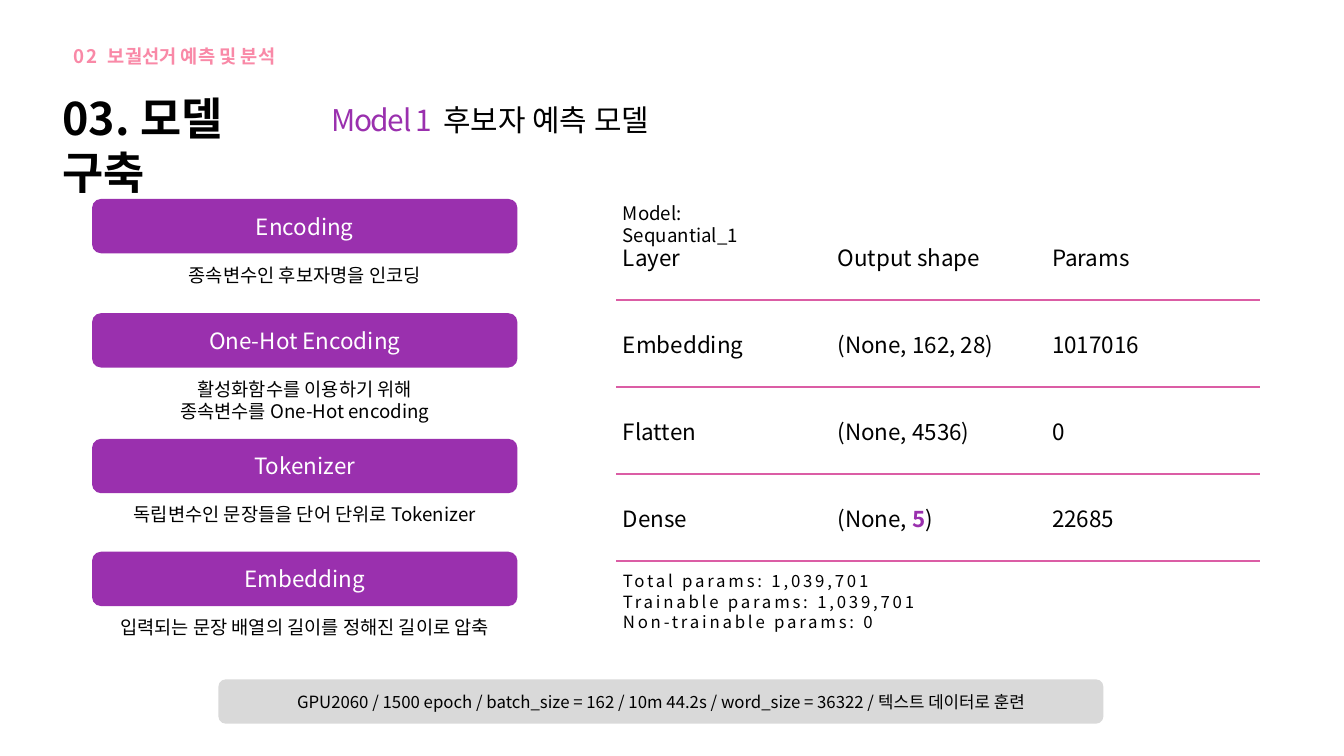
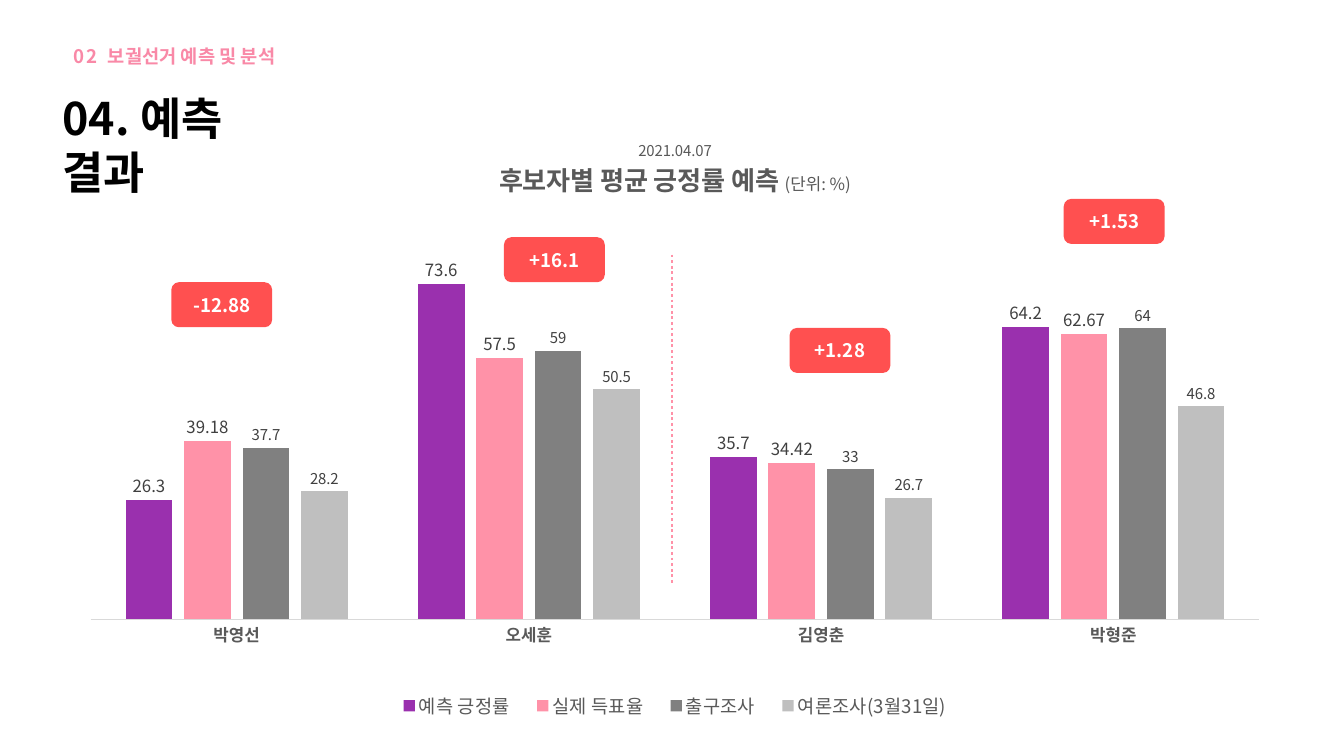
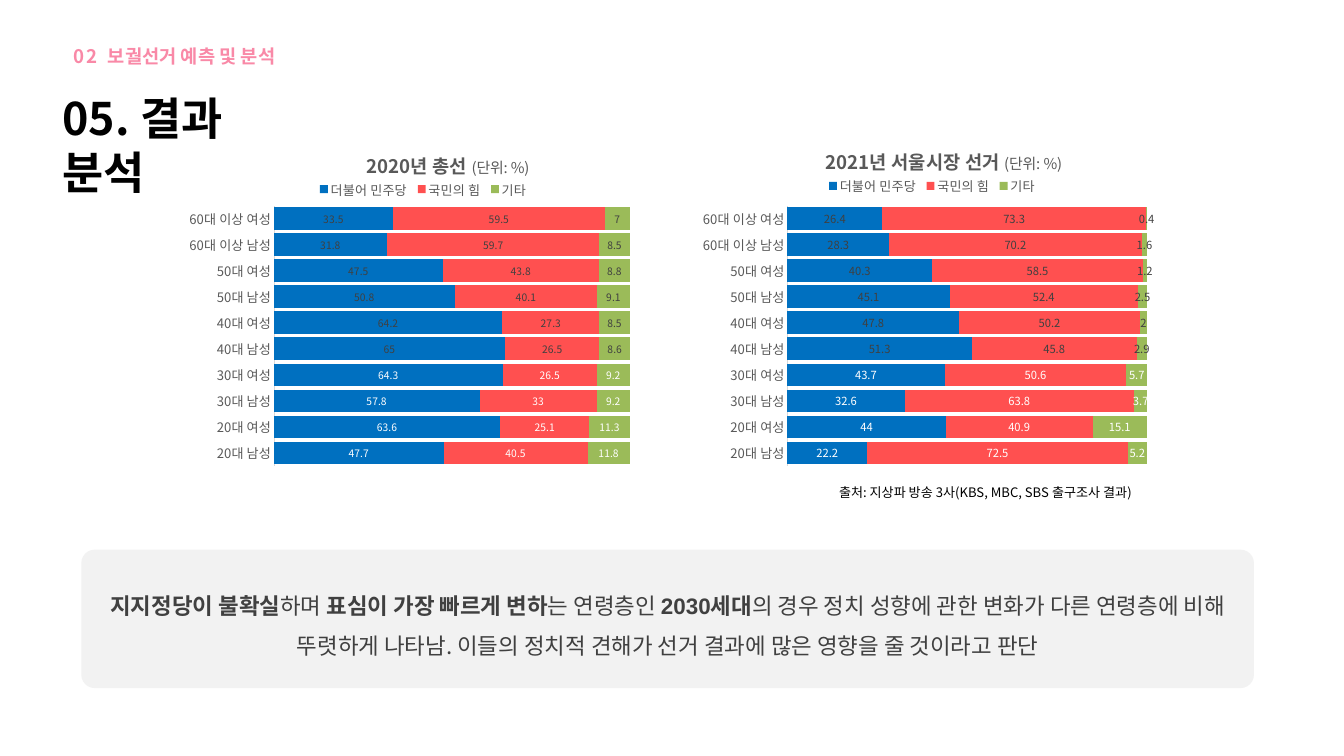
from lxml import etree
from pptx import Presentation
from pptx.chart.data import CategoryChartData
from pptx.dml.color import RGBColor
from pptx.enum.chart import XL_CHART_TYPE, XL_LABEL_POSITION, XL_LEGEND_POSITION, XL_TICK_MARK
from pptx.enum.dml import MSO_LINE
from pptx.enum.shapes import MSO_CONNECTOR, MSO_SHAPE
from pptx.enum.text import MSO_ANCHOR, MSO_AUTO_SIZE, PP_ALIGN
from pptx.oxml.ns import qn
from pptx.util import Inches, Pt

LEFT, CENTER, RIGHT, JUSTIFY = PP_ALIGN.LEFT, PP_ALIGN.CENTER, PP_ALIGN.RIGHT, PP_ALIGN.JUSTIFY
TOP, MIDDLE = MSO_ANCHOR.TOP, MSO_ANCHOR.MIDDLE
COLUMNS, STACKED_BARS = XL_CHART_TYPE.COLUMN_CLUSTERED, XL_CHART_TYPE.BAR_STACKED
OUTSIDE_END, LEGEND_TOP = XL_LABEL_POSITION.OUTSIDE_END, XL_LEGEND_POSITION.TOP
NO_TICKS, DOTTED = XL_TICK_MARK.NONE, MSO_LINE.ROUND_DOT
ROUNDED, STRAIGHT = MSO_SHAPE.ROUNDED_RECTANGLE, MSO_CONNECTOR.STRAIGHT

BLACK = RGBColor(0, 0, 0)
WHITE = RGBColor(255, 255, 255)
PURPLE = RGBColor(0x9A, 0x30, 0xAE)
HEADER_PINK = RGBColor(0xF9, 0x89, 0xA7)
PINK = RGBColor(0xFF, 0x92, 0xA8)
RULE_PINK = RGBColor(0xDB, 0x5D, 0xA5)
RED = RGBColor(0xFF, 0x50, 0x50)
BLUE = RGBColor(0, 0x70, 0xC0)
GREEN = RGBColor(0x9B, 0xBB, 0x59)
DARK_GRAY = RGBColor(0x40, 0x40, 0x40)
TEXT_GRAY = RGBColor(0x59, 0x59, 0x59)
GRAY = RGBColor(0x80, 0x80, 0x80)
SILVER = RGBColor(0xBF, 0xBF, 0xBF)
BAR_GRAY = RGBColor(0xD9, 0xD9, 0xD9)
PANEL_GRAY = RGBColor(0xF2, 0xF2, 0xF2)

FONT = "Noto Sans CJK KR"
NO_TABLE_STYLE = "{2D5ABB26-0587-4C30-8999-92F81FD0307C}"

STEPS = [
    (2.96, "Encoding", ["종속변수인 후보자명을 인코딩"]),
    (4.66, "One-Hot Encoding", ["활성화함수를 이용하기 위해", "종속변수를 One-Hot encoding"]),
    (6.53, "Tokenizer", ["독립변수인 문장들을 단어 단위로 Tokenizer"]),
    (8.21, "Embedding", ["입력되는 문장 배열의 길이를 정해진 길이로 압축"]),
]
LAYERS = [
    ["Layer", "Output shape", "Params"],
    ["Embedding", "(None, 162, 28)", "1017016"],
    ["Flatten", "(None, 4536)", "0"],
    ["Dense", [("(None, ", {}), ("5", {"color": PURPLE, "bold": True}), (")", {})], "22685"],
]
CANDIDATES = ["박영선", "오세훈", "김영춘", "박형준"]
CANDIDATE_SERIES = [
    ("예측 긍정률", [26.3, 73.6, 35.7, 64.2], PURPLE, 18),
    ("실제 득표율", [39.18, 57.5, 34.42, 62.67], PINK, 18),
    ("출구조사", [37.7, 59, 33, 64], GRAY, 16),
    ("여론조사(3월31일)", [28.2, 50.5, 26.7, 46.8], SILVER, 16),
]
DIFFERENCES = [(2.55, 4.2, "-12.88"), (7.5, 3.53, "+16.1"),
               (11.75, 4.88, "+1.28"), (15.83, 2.96, "+1.53")]
AGE_GROUPS = [f"{age} {sex}" for age in ("20대", "30대", "40대", "50대", "60대 이상")
              for sex in ("남성", "여성")]
YOUNG_GROUPS = 4
PARTIES = [("더불어 민주당", BLUE), ("국민의 힘", RED), ("기타", GREEN)]
VOTES_2020 = [
    [47.7, 63.6, 57.8, 64.3, 65, 64.2, 50.8, 47.5, 31.8, 33.5],
    [40.5, 25.1, 33, 26.5, 26.5, 27.3, 40.1, 43.8, 59.7, 59.5],
    [11.8, 11.3, 9.2, 9.2, 8.6, 8.5, 9.1, 8.8, 8.5, 7],
]
VOTES_2021 = [
    [22.2, 44, 32.6, 43.7, 51.3, 47.8, 45.1, 40.3, 28.3, 26.4],
    [72.5, 40.9, 63.8, 50.6, 45.8, 50.2, 52.4, 58.5, 70.2, 73.3],
    [5.2, 15.1, 3.7, 5.7, 2.9, 2, 2.5, 1.2, 1.6, 0.4],
]


def inches(box):
    """Turn a box of plain numbers into lengths."""
    return [Inches(value) for value in box]


def style_font(font, size=20, color=BLACK, bold=False, family=FONT, spacing=0):
    """Format a font, with the same Korean face everywhere."""
    font.size = Pt(size)
    font.bold = bold
    font.color.rgb = color
    font.name = family
    properties = font._element
    etree.SubElement(properties, qn("a:ea"), typeface=FONT)
    if spacing:
        properties.set("spc", str(int(spacing * 100)))


def write(frame, *paragraphs, align=LEFT, line_spacing=None, **style):
    """Fill a frame with paragraphs, each a string or a list of styled spans."""
    for index, spans in enumerate(paragraphs):
        para = frame.add_paragraph() if index else frame.paragraphs[0]
        para.alignment = align
        if line_spacing:
            para.line_spacing = line_spacing
        for text, changes in [(spans, {})] if isinstance(spans, str) else spans:
            span = para.add_run()
            span.text = text
            style_font(span.font, **{**style, **changes})


def add_text(page, box, *paragraphs, **style):
    """Add a wrapping text box."""
    frame = page.shapes.add_textbox(*inches(box)).text_frame
    frame.word_wrap = True
    write(frame, *paragraphs, **style)


def add_panel(page, box, fill, *paragraphs, corner=None, **style):
    """Add a rounded panel with centred text."""
    panel = page.shapes.add_shape(ROUNDED, *inches(box))
    panel.shadow.inherit = False
    panel.fill.solid()
    panel.fill.fore_color.rgb = fill
    panel.line.fill.background()
    if corner:
        panel.adjustments[0] = corner
    panel.text_frame.vertical_anchor = MIDDLE
    write(panel.text_frame, *paragraphs, align=CENTER, **style)


def add_page(deck, heading):
    """Add a page with the section label and its heading."""
    page = deck.slides.add_slide(deck.slide_layouts[5])
    title = page.shapes.title
    title.left, title.top, title.width, title.height = inches((0.83, 1.3, 3.88, 0.91))
    frame = title.text_frame
    frame.word_wrap = True
    frame.auto_size = MSO_AUTO_SIZE.NONE
    frame.vertical_anchor = TOP
    write(frame, heading, size=48, bold=True)
    add_text(page, (0.99, 0.62, 3.34, 0.44),
             [("02 ", {"spacing": 3}), ("보궐선거 예측 및 분석", {})],
             align=JUSTIFY, color=HEADER_PINK, bold=True)
    return page


def add_steps(page, left, width):
    """Stack the preprocessing steps, each with its description."""
    for top, name, description in STEPS:
        add_panel(page, (left, top, width, 0.81), PURPLE, name, size=24, color=WHITE)
        add_text(page, (left, top + 0.91, width, 0.36 * len(description) + 0.08),
                 *description, align=CENTER)


def underline(cell):
    """Draw the bottom border of a table cell."""
    border = etree.Element(qn("a:lnB"), w=str(Pt(2.25)))
    fill = etree.SubElement(border, qn("a:solidFill"))
    etree.SubElement(fill, qn("a:srgbClr"), val=str(RULE_PINK))
    cell._tc.get_or_add_tcPr().insert(0, border)


def add_layer_table(page, box):
    """Add the model's layers as a ruled table with captions."""
    left, top, width, height = box
    table = page.shapes.add_table(len(LAYERS), len(LAYERS[0]), *inches(box)).table
    table.first_row = table.horz_banding = False
    table._tbl.tblPr.find(qn("a:tableStyleId")).text = NO_TABLE_STYLE
    for row, values in enumerate(LAYERS):
        for column, value in enumerate(values):
            cell = table.cell(row, column)
            cell.fill.background()
            cell.vertical_anchor = MIDDLE
            write(cell.text_frame, value, size=24)
            underline(cell)
    add_text(page, (left, top - 0.22, 2.76, 0.44), "Model: Sequantial_1")
    add_text(page, (left, top + height + 0.1, 6.5, 1.01), "Total params: 1,039,701",
             "Trainable params: 1,039,701", "Non-trainable params: 0", size=18, spacing=3)


def set_layout(chart, tag, index, inner=False, **fractions):
    """Place a chart part by fractions of the chart area."""
    part = chart._chartSpace.find(".//" + qn(tag))
    for old in part.findall(qn("c:layout")):
        part.remove(old)
    layout = etree.Element(qn("c:layout"))
    manual = etree.SubElement(layout, qn("c:manualLayout"))
    if inner:
        etree.SubElement(manual, qn("c:layoutTarget"), val="inner")
    for name in ("x", "y"):
        etree.SubElement(manual, qn(f"c:{name}Mode"), val="edge")
    for name, value in fractions.items():
        etree.SubElement(manual, qn(f"c:{name}"), val=str(value))
    part.insert(index, layout)


def add_bar_chart(page, box, kind, categories, series, title, plot_area, legend_area,
                  maximum, gap, overlap, axis_size, axis_bold, legend_size):
    """Add a bar chart with a hidden value axis and value labels."""
    data = CategoryChartData()
    data.categories = categories
    for name, values, _, _ in series:
        data.add_series(name, values)
    chart = page.shapes.add_chart(kind, *inches(box), data).chart
    style_font(chart.font, size=16)
    background = etree.Element(qn("c:spPr"))
    etree.SubElement(background, qn("a:noFill"))
    outline = etree.SubElement(background, qn("a:ln"))
    etree.SubElement(outline, qn("a:noFill"))
    chart._chartSpace.find(qn("c:chart")).addnext(background)

    chart.has_title = True
    write(chart.chart_title.text_frame, *title, align=CENTER, color=TEXT_GRAY)
    chart.has_legend = True
    chart.legend.position = LEGEND_TOP
    chart.legend.include_in_layout = False
    style_font(chart.legend.font, size=legend_size, color=TEXT_GRAY)

    chart.value_axis.visible = False
    chart.value_axis.has_major_gridlines = False
    chart.value_axis.minimum_scale = 0
    chart.value_axis.maximum_scale = maximum
    axis = chart.category_axis
    axis.major_tick_mark = axis.minor_tick_mark = NO_TICKS
    axis.format.line.color.rgb = BAR_GRAY
    axis.format.line.width = Pt(0.75)
    style_font(axis.tick_labels.font, size=axis_size, color=TEXT_GRAY, bold=axis_bold)

    plot = chart.plots[0]
    plot.vary_by_categories = False
    plot.gap_width = gap
    plot.overlap = overlap
    for bars, (_, _, color, label_size) in zip(plot.series, series):
        bars.invert_if_negative = False
        bars.format.fill.solid()
        bars.format.fill.fore_color.rgb = color
        labels = bars.data_labels
        labels.show_value = True
        style_font(labels.font, size=label_size, color=DARK_GRAY)
        if kind == COLUMNS:
            labels.position = OUTSIDE_END
    set_layout(chart, "c:plotArea", 0, inner=True, **dict(zip("xywh", plot_area)))
    set_layout(chart, "c:legend", 1, **dict(zip("xywh", legend_area)))
    return chart


def add_vote_chart(page, box, name, votes, label_size, plot_area, legend_area, title_spot):
    """Add a stacked chart of votes by age group, the young in white labels."""
    series = [(party, values, color, label_size)
              for (party, color), values in zip(PARTIES, votes)]
    title = [[(f"{name} ", {"size": 20, "bold": True}), ("(단위: %)", {"size": 16})]]
    chart = add_bar_chart(page, box, STACKED_BARS, AGE_GROUPS, series, title, plot_area,
                          legend_area, maximum=120, gap=15, overlap=100,
                          axis_size=14, axis_bold=False, legend_size=14)
    set_layout(chart, "c:title", 1, **dict(zip("xy", title_spot)))
    for bars in chart.plots[0].series:
        for index in range(YOUNG_GROUPS):
            style_font(bars.points[index].data_label.font, size=label_size, color=WHITE)


def add_model_page(deck):
    """Build the page on the model's construction."""
    page = add_page(deck, "03. 모델 구축")
    add_text(page, (4.83, 1.47, 5.5, 0.64),
             [("Model 1", {"color": PURPLE, "spacing": -1.5}), (" ", {"spacing": 5}),
              ("후보자 예측 모델", {})], size=32)
    add_steps(page, 1.37, 6.33)
    add_layer_table(page, (9.17, 3.17, 9.58, 5.18))
    add_panel(page, (3.25, 10.11, 13.17, 0.66), BAR_GRAY,
              "GPU2060 / 1500 epoch / batch_size = 162 / 10m 44.2s / "
              "word_size = 36322 / 텍스트 데이터로 훈련", size=18)


def add_prediction_page(deck):
    """Build the page comparing predictions with the vote."""
    page = add_page(deck, "04. 예측 결과")
    title = [[("2021.04.07", {"size": 16})],
             [("후보자별 평균 긍정률 예측 ", {"size": 28, "bold": True}),
              ("(단위: %)", {"size": 18})]]
    add_bar_chart(page, (1.17, 1.79, 17.75, 9.17), COLUMNS, CANDIDATES, CANDIDATE_SERIES,
                  title, (0.01, 0.219, 0.98, 0.591), (0.255, 0.92, 0.49, 0.06),
                  maximum=80, gap=150, overlap=-25,
                  axis_size=18, axis_bold=True, legend_size=20)
    divider = page.shapes.add_connector(STRAIGHT, *inches((10, 3.79, 10, 8.71)))
    divider.line.color.rgb = PINK
    divider.line.width = Pt(3)
    divider.line.dash_style = DOTTED
    etree.SubElement(divider._element.spPr, qn("a:effectLst"))
    for left, top, difference in DIFFERENCES:
        add_panel(page, (left, top, 1.5, 0.67), RED, difference, color=WHITE, bold=True)


def add_analysis_page(deck):
    """Build the page analysing the votes by age group."""
    page = add_page(deck, "05. 결과 분석")
    add_vote_chart(page, (9.6, 2.06, 8.54, 4.88), "2021년 서울시장 선거", VOTES_2021, 12,
                   (0.248, 0.205, 0.752, 0.795), (0.31, 0.11, 0.38, 0.07), (0.31, 0.02))
    add_vote_chart(page, (2.08, 2.06, 8.35, 4.88), "2020년 총선", VOTES_2020, 11,
                   (0.239, 0.205, 0.761, 0.795), (0.31, 0.12, 0.39, 0.07), (0.4, 0.03))
    add_text(page, (11.48, 7.16, 5.46, 0.34),
             "출처: 지상파 방송 3사(KBS, MBC, SBS 출구조사 결과)", align=RIGHT, size=14)
    strong = {"bold": True, "family": "Arial"}
    add_panel(page, (1.21, 8.18, 17.45, 2.06), PANEL_GRAY,
              [("지지정당이 불확실", strong), ("하며 ", {}),
               ("표심이 가장 빠르게 변하", strong), ("는 연령층인 ", {}),
               ("2030세대", strong),
               ("의 경우 정치 성향에 관한 변화가 다른 연령층에 비해 뚜렷하게 나타남. "
                "이들의 정치적 견해가 선거 결과에 많은 영향을 줄 것이라고 판단", {})],
              corner=0.097, size=24, color=DARK_GRAY, line_spacing=1.5)


def main():
    """Build the deck and save it."""
    deck = Presentation()
    deck.slide_width, deck.slide_height = inches((20, 11.25))
    add_model_page(deck)
    add_prediction_page(deck)
    add_analysis_page(deck)
    deck.save("out.pptx")


if __name__ == "__main__":
    main()
